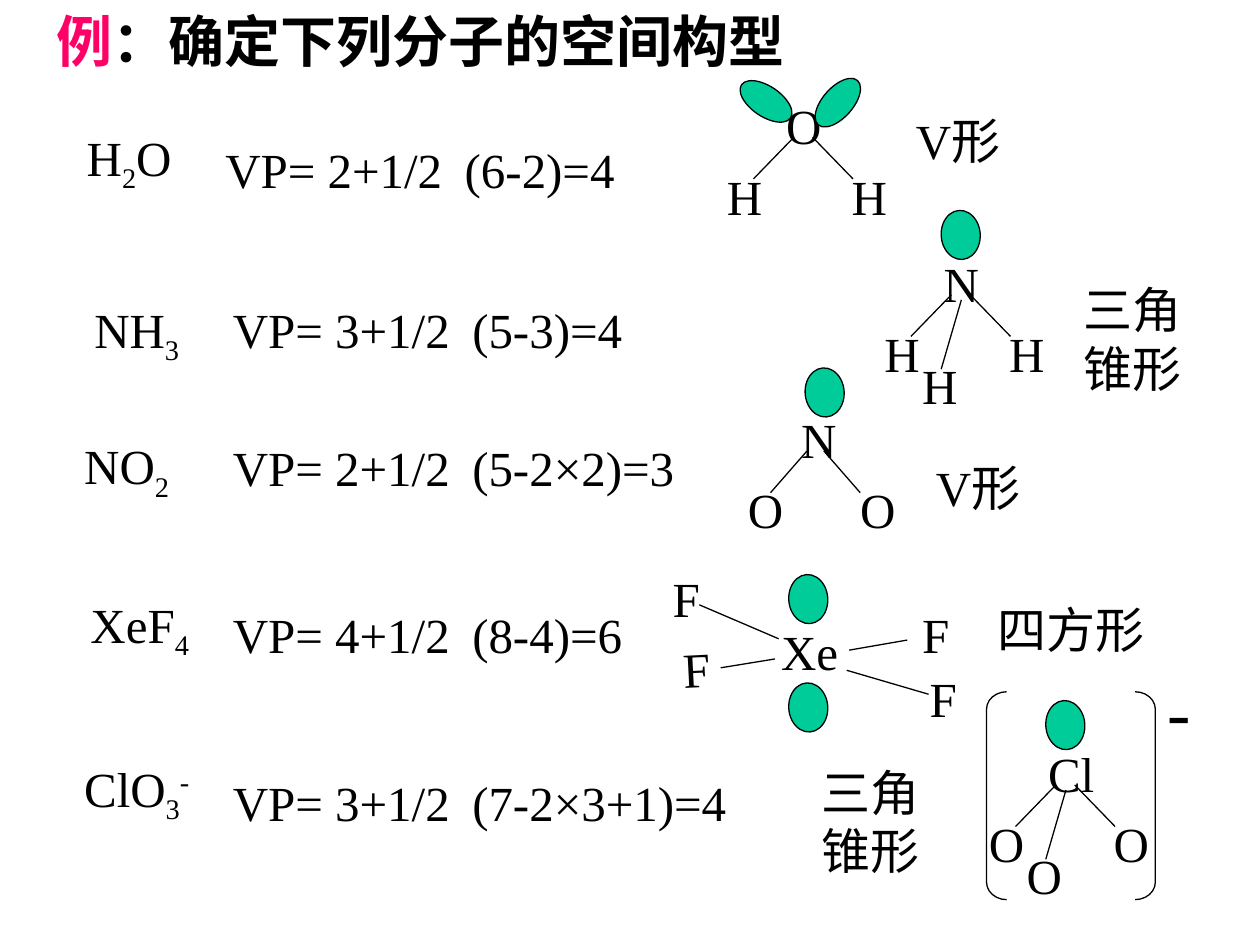
from lxml.etree import SubElement
from pptx import Presentation
from pptx.dml.color import RGBColor
from pptx.enum.shapes import MSO_CONNECTOR as Connector, MSO_SHAPE as Shape
from pptx.enum.text import MSO_ANCHOR as Anchor, MSO_AUTO_SIZE as AutoSize, PP_ALIGN as Align
from pptx.oxml.ns import qn
from pptx.util import Inches, Pt

COLORS = {"text": "000000", "accent": "FF0066", "lone_pair": "00CC99"}
FONT = "Times New Roman"
LINE_HEIGHT = 0.57

# Formula runs with baseline shift, formula position, electron count, its position
ROWS = [
    ([("H", 0), ("2", -25), ("O", 0)], (0.59, 0.96), ("2+1/2", "(6-2)=4"), (1.69, 1.06)),
    ([("NH", 0), ("3", -25)], (0.65, 2.33), ("3+1/2", "(5-3)=4"), (1.75, 2.33)),
    ([("NO", 0), ("2", -25)], (0.57, 3.41), ("2+1/2", "(5-2×2)=3"), (1.75, 3.42)),
    ([("XeF", 0), ("4", -25)], (0.62, 4.67), ("4+1/2", "(8-4)=6"), (1.75, 4.75)),
    ([("ClO", 0), ("3", -25), ("-", 30)], (0.57, 5.97), ("3+1/2", "(7-2×3+1)=4"), (1.75, 6.08)),
]


def color(name):
    return RGBColor.from_string(COLORS[name])


def add_span(para, text, size=28, tint="text", bold=False, baseline=0):
    span = para.add_run()
    span.text = text
    span.font.name = FONT
    span.font.size = Pt(size)
    span.font.bold = bold
    span.font.color.rgb = color(tint)
    if baseline:
        span.font._element.set("baseline", str(baseline * 1000))


def add_box(parent, x, y, width, height=LINE_HEIGHT, wrap=True):
    box = parent.shapes.add_textbox(Inches(x), Inches(y), Inches(width), Inches(height))
    box.text_frame.word_wrap = wrap
    return box


def add_label(parent, text, x, y, width=0.42, height=LINE_HEIGHT, size=28, wrap=True):
    box = add_box(parent, x, y, width, height, wrap)
    add_span(box.text_frame.paragraphs[0], text, size)
    return box


def add_bond(parent, x1, y1, x2, y2):
    bond = parent.shapes.add_connector(
        Connector.STRAIGHT, Inches(x1), Inches(y1), Inches(x2), Inches(y2))
    bond.line.color.rgb = color("text")
    bond.line.width = Pt(0.75)
    SubElement(bond._element.spPr, qn("a:effectLst"))


def add_outline(parent, kind, x, y, width, height):
    shape = parent.shapes.add_shape(
        kind, Inches(x), Inches(y), Inches(width), Inches(height))
    shape.shadow.inherit = False
    shape.fill.background()
    shape.line.color.rgb = color("text")
    shape.line.width = Pt(0.75)
    return shape


def add_lone_pair(parent, x, y, width=0.31, height=0.39, rotation=355.9):
    pair = add_outline(parent, Shape.OVAL, x, y, width, height)
    pair.fill.solid()
    pair.fill.fore_color.rgb = color("lone_pair")
    pair.rotation = rotation


def add_bracket(parent, kind, x):
    bracket = add_outline(parent, kind, x, 5.49, 0.16, 1.65)
    bracket.adjustments[0] = 0.87


def add_bent(parent, centre, ligand, x, y, scale=1):
    """Central atom with two ligands below it; scale stretches the width."""
    add_label(parent, centre, x, y, 1.1 * scale)
    for start, end, atom in [(0.16, -0.16, -0.47), (0.31, 0.63, 0.52)]:
        add_bond(parent, x + start * scale, y + 0.38, x + end * scale, y + 0.71)
        add_label(parent, ligand, x + atom * scale, y + 0.56, 0.42 * scale)


def add_pyramid(parent, centre, ligand, x, y):
    add_bent(parent, centre, ligand, x, y)
    add_lone_pair(parent, x + 0.08, y - 0.29)
    add_bond(parent, x + 0.24, y + 0.42, x + 0.08, y + 0.97)
    add_label(parent, ligand, x - 0.17, y + 0.81, 0.48, wrap=False)


def add_title(page):
    title = page.shapes.title
    title.left, title.top = Inches(0.35), Inches(0)
    title.width, title.height = Inches(8.03), Inches(0.63)
    frame = title.text_frame
    frame.auto_size = AutoSize.NONE
    frame.vertical_anchor = Anchor.TOP
    para = frame.paragraphs[0]
    para.alignment = Align.LEFT
    add_span(para, "例", 32, "accent", bold=True)
    add_span(para, "：确定下列分子的空间构型", 32, bold=True)


def add_row(page, formula, formula_at, terms, count_at):
    para = add_box(page, *formula_at, 1.5).text_frame.paragraphs[0]
    for text, baseline in formula:
        add_span(para, text, baseline=baseline)
    para = add_box(page, *count_at, 4.6).text_frame.paragraphs[0]
    tabs = SubElement(para._p.get_or_add_pPr(), qn("a:tabLst"))
    SubElement(tabs, qn("a:tab"), pos=str(Inches(1.9)), algn="l")
    add_span(para, "VP= " + "\t".join(terms))


def add_water(page):
    group = page.shapes.add_group_shape()
    add_bent(group, "O", "H", 6.14, 0.71)
    add_lone_pair(group, 6.53, 0.58, 0.24, 0.47, 41.6)
    add_lone_pair(group, 5.96, 0.57, 0.24, 0.47, 304.1)
    add_label(group, "V形", 7.17, 0.83, 1.57)


def add_ammonia(page):
    group = page.shapes.add_group_shape()
    add_pyramid(group, "N", "H", 7.39, 1.96)
    add_label(group, "三角锥形", 8.5, 2.17, 1.18, 1.03)


def add_nitrogen_dioxide(page):
    group = page.shapes.add_group_shape()
    add_bent(group, "N", "O", 6.26, 3.2, scale=0.9)
    add_lone_pair(group, 6.39, 2.92)
    add_label(group, "V形", 7.33, 3.58, 1.57)


def add_xenon_tetrafluoride(page):
    group = page.shapes.add_group_shape()
    add_label(group, "Xe", 6.1, 4.88, 0.99)
    for bond, atom, rotation in [
        ((6.15, 5.23, 5.72, 5.3), (5.32, 5.02), 357),
        ((6.74, 5.16, 7.2, 5.08), (7.22, 4.75), 0),
        ((5.55, 4.8, 6.18, 5.07), (5.24, 4.46), 0),
        ((6.72, 5.32, 7.37, 5.51), (7.28, 5.26), 0),
    ]:
        add_bond(group, *bond)
        add_label(group, "F", *atom, 0.38).rotation = rotation
    for y in (4.56, 5.42):
        add_lone_pair(group, 6.26, y)
    add_label(group, "四方形", 7.82, 4.71, 1.81)


def add_chlorate(page):
    group = page.shapes.add_group_shape()
    add_pyramid(group, "Cl", "O", 8.22, 5.85)
    add_bracket(group, Shape.LEFT_BRACKET, 7.83)
    add_bracket(group, Shape.RIGHT_BRACKET, 9.01)
    add_label(group, "-", 9.17, 5.25, 0.35, 0.77, size=40)
    add_label(group, "三角锥形", 6.42, 6, 1.18, 1.03)


def main():
    deck = Presentation()
    deck.slide_width, deck.slide_height = Inches(10), Inches(7.5)
    page = deck.slides.add_slide(deck.slide_layouts[5])
    add_title(page)
    for row in ROWS:
        add_row(page, *row)
    add_water(page)
    add_ammonia(page)
    add_nitrogen_dioxide(page)
    add_xenon_tetrafluoride(page)
    add_chlorate(page)
    deck.save("out.pptx")


if __name__ == "__main__":
    main()
